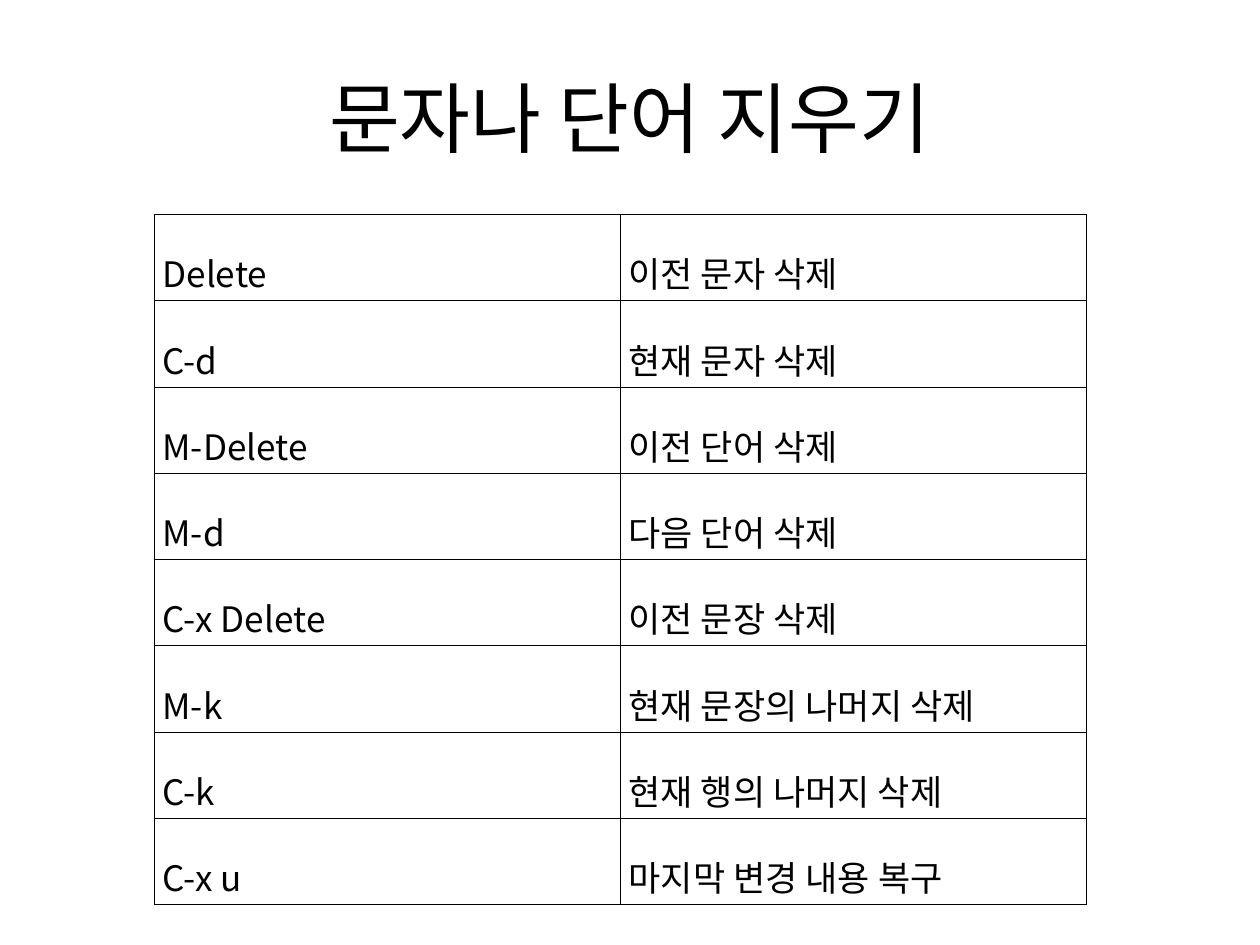
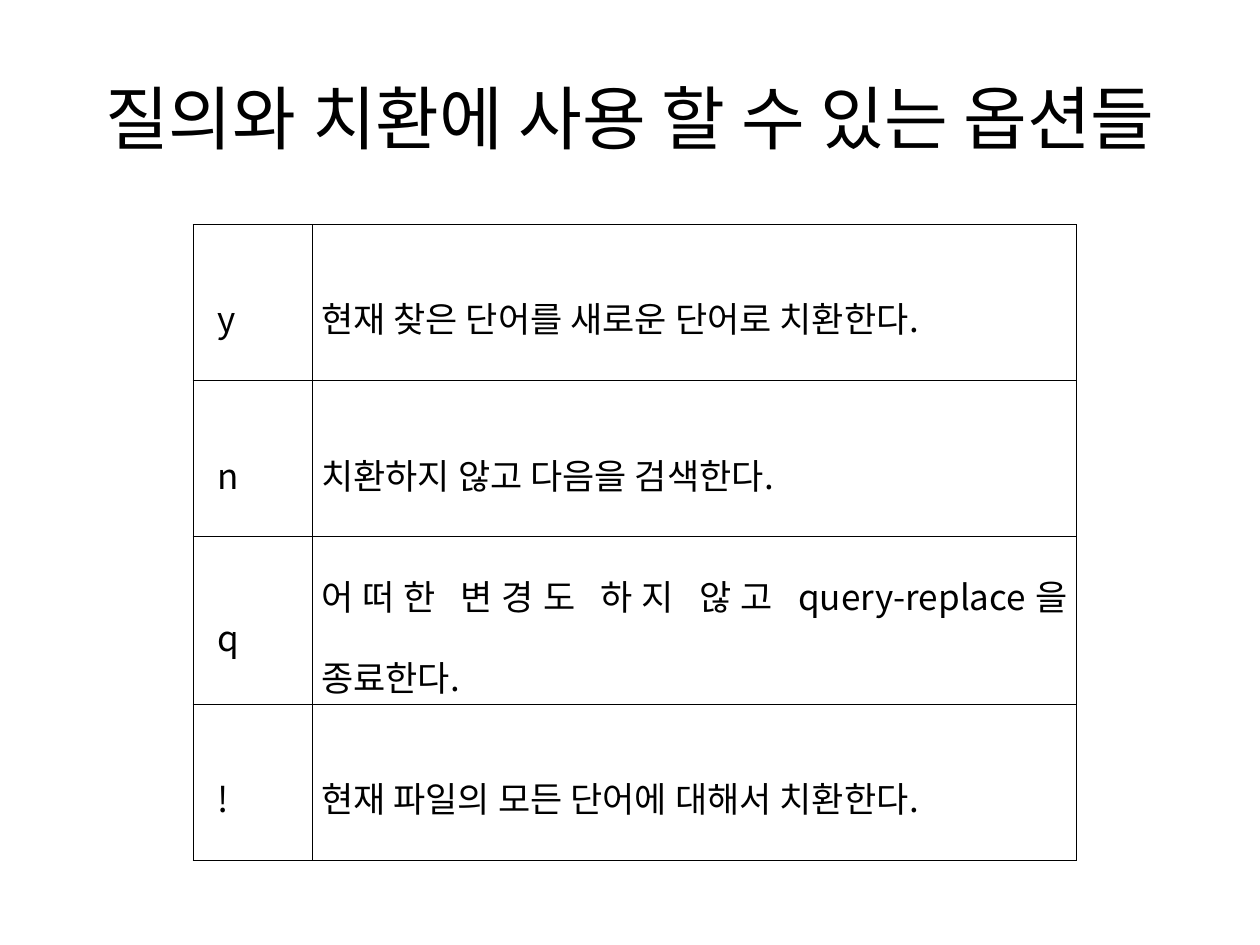
from lxml import etree
from pptx import Presentation, util as u
from pptx.dml.color import RGBColor
from pptx.enum import text
from pptx.oxml import ns

FONT = "Noto Sans CJK KR"
INK = "000000"
BORDER_POINTS = 0.28
CELL_FORMAT = {
    "vertical_anchor": text.MSO_ANCHOR.MIDDLE,
    "margin_left": u.Inches(0.07),
    "margin_right": u.Inches(0.07),
    "margin_top": u.Inches(0.02),
    "margin_bottom": u.Inches(0.02),
}
DELETE_KEYS = [
    ("Delete", "이전 문자 삭제"),
    ("C-d", "현재 문자 삭제"),
    ("M-Delete", "이전 단어 삭제"),
    ("M-d", "다음 단어 삭제"),
    ("C-x Delete", "이전 문장 삭제"),
    ("M-k", "현재 문장의 나머지 삭제"),
    ("C-k", "현재 행의 나머지 삭제"),
    ("C-x u", "마지막 변경 내용 복구"),
]
REPLACE_OPTIONS = [
    ("y", "현재 찾은 단어를 새로운 단어로 치환한다."),
    ("n", "치환하지 않고 다음을 검색한다."),
    ("q", "어떠한 변경도 하지 않고 query-replace을 종료한다."),
    ("!", "현재 파일의 모든 단어에 대해서 치환한다."),
]


def color(value):
    return RGBColor.from_string(value)


def apply(target, values):
    for name, value in values.items():
        setattr(target, name, value)


def add_child(parent, tag, **attributes):
    return etree.SubElement(parent, ns.qn(tag), attributes)


def write(para, words, size, **format_values):
    apply(para, format_values)
    span = para.add_run()
    span.text = words
    apply(span.font, {"name": FONT, "size": u.Pt(size)})
    span.font.color.rgb = color(INK)


def add_title(page, words, left, width, size):
    box = page.shapes.add_textbox(
        u.Inches(left), u.Inches(0.3), u.Inches(width), u.Inches(1.25))
    apply(box.text_frame, {
        "word_wrap": True, "vertical_anchor": text.MSO_ANCHOR.MIDDLE})
    write(box.text_frame.paragraphs[0], words, size,
          alignment=text.PP_ALIGN.CENTER)


def add_borders(cell):
    properties = cell._tc.get_or_add_tcPr()
    for side in ("a:lnL", "a:lnR", "a:lnT", "a:lnB"):
        line = add_child(properties, side, w=str(int(u.Pt(BORDER_POINTS))))
        fill = add_child(line, "a:solidFill")
        add_child(fill, "a:srgbClr", val=INK)


def add_key_table(page, rows, left, top, widths, heights, alignment, key_indent=0):
    table = page.shapes.add_table(
        len(rows), len(widths), u.Inches(left), u.Inches(top),
        u.Inches(sum(widths)), u.Inches(sum(heights))).table
    apply(table, {"first_row": False, "horz_banding": False})
    for column, width in zip(table.columns, widths):
        column.width = u.Inches(width)
    for row, height, words in zip(table.rows, heights, rows):
        row.height = u.Inches(height)
        for cell, content, indent in zip(row.cells, words, (key_indent, 0)):
            apply(cell, CELL_FORMAT)
            add_borders(cell)
            cell.fill.background()
            para = cell.text_frame.paragraphs[0]
            write(para, content, 20, alignment=alignment, line_spacing=1.6)
            if indent:
                para._p.get_or_add_pPr().set("marL", str(int(u.Inches(indent))))


def main():
    deck = Presentation()
    apply(deck, {"slide_width": u.Inches(10), "slide_height": u.Inches(7.5)})
    blank = deck.slide_layouts[6]

    page = deck.slides.add_slide(blank)
    add_title(page, "문자나 단어 지우기", 0.5, 9, 44)
    add_key_table(page, DELETE_KEYS, 1.22, 1.7, (3.7, 3.7),
                  [5.48 / len(DELETE_KEYS)] * len(DELETE_KEYS),
                  text.PP_ALIGN.LEFT)

    page = deck.slides.add_slide(blank)
    add_title(page, "질의와 치환에 사용 할 수 있는 옵션들", 0, 10, 39.6)
    add_key_table(page, REPLACE_OPTIONS, 1.53, 1.78, (0.95, 6.06),
                  (1.24, 1.24, 1.33, 1.24),
                  text.PP_ALIGN.JUSTIFY, key_indent=0.13)

    deck.save("out.pptx")


main()
